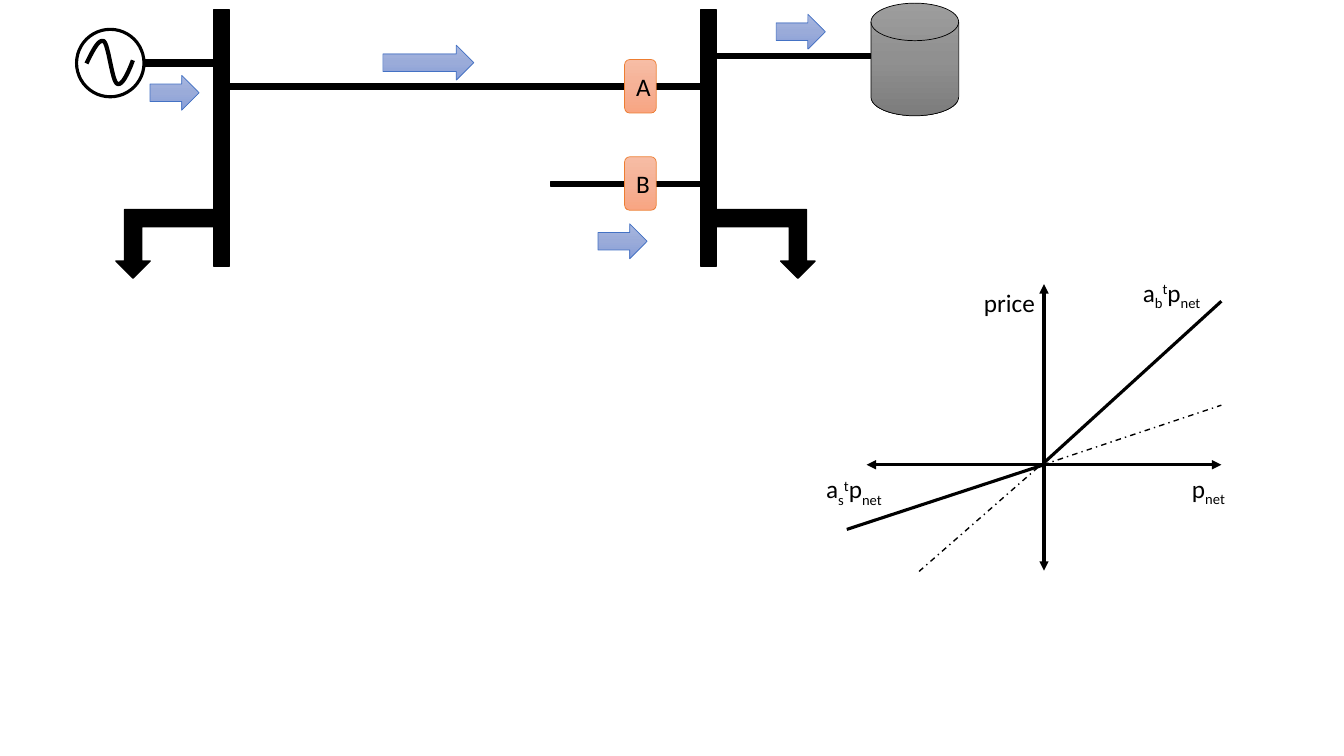
from copy import deepcopy

from lxml import etree
from pptx import Presentation
from pptx.dml.color import RGBColor
from pptx.enum import dml, shapes, text
from pptx.oxml import ns
from pptx.util import Cm, Pt

COLORS = {
    "ink": "000000",
    "paper": "FFFFFF",
    "flow": ["A8B7DF", "9AABD9", "889ED7"],
    "flow edge": "4472C4",
    "relay": ["F7BDA5", "F5B196", "F8A582"],
    "relay edge": "ED7D31",
    "tank": ["9D9D9D", "909090", "7C7C7C"],
}
KINDS = shapes.MSO_SHAPE

deck = Presentation()
deck.slide_width, deck.slide_height = Cm(33.87), Cm(19.05)
slide = deck.slides.add_slide(deck.slide_layouts[6])


def add_part(kind, box, fill="ink", edge="ink", weight=1):
    part = slide.shapes.add_shape(kind, *[Cm(length) for length in box])
    part.shadow.inherit = False
    part.line.color.rgb = RGBColor.from_string(COLORS[edge])
    part.line.width = Pt(weight)
    shades = COLORS[fill]
    if isinstance(shades, str):
        part.fill.solid()
        part.fill.fore_color.rgb = RGBColor.from_string(shades)
        return part
    part.fill.gradient()
    part.fill.gradient_angle = 270
    stop_list = part.element.xpath(".//a:gsLst")[0]
    stop_list.insert(1, deepcopy(stop_list[0]))
    for stop, shade, position in zip(part.fill.gradient_stops, shades, (0, 0.5, 1)):
        stop.color.rgb = RGBColor.from_string(shade)
        stop.position = position
    return part


def add_words(paragraph, pieces):
    for words, baseline in pieces:
        run = paragraph.add_run()
        run.text = words
        run.font.name = "Calibri"
        run.font.size = Pt(18)
        run.font.color.rgb = RGBColor.from_string(COLORS["ink"])
        if baseline:
            run.font._element.set("baseline", str(baseline * 1000))


for bus_left in (5.38, 17.65):
    add_part(KINDS.RECTANGLE, (bus_left, 0.25, 0.41, 6.45))

add_part(KINDS.OVAL, (1.93, 0.74, 1.7, 1.7), "paper", weight=2.25)

wires = [
    (3.66, 1.5, 1.93, 0.18),
    (5.46, 2.11, 12.19, 0.13),
    (18.08, 1.35, 3.86, 0.13),
    (13.89, 4.57, 3.76, 0.13),
]
for wire in wires:
    add_part(KINDS.RECTANGLE, wire)

wave_curves = [
    [(2.18, 1.6), (2.34, 1.27), (2.49, 0.97), (2.62, 1.04)],
    [(2.62, 1.04), (2.74, 1.14), (2.82, 2.03), (2.95, 2.11)],
    [(2.95, 2.11), (3.07, 2.18), (3.23, 1.85), (3.35, 1.52)],
]
STEPS = 12
wave_points = []
for curve in wave_curves:
    for step in range(1, STEPS + 1):
        t = step / STEPS
        weights = ((1 - t) ** 3, 3 * t * (1 - t) ** 2, 3 * t**2 * (1 - t), t**3)
        wave_points.append(
            [Cm(sum(w * point[axis] for w, point in zip(weights, curve))) for axis in (0, 1)]
        )
builder = slide.shapes.build_freeform(Cm(2.18), Cm(1.6))
builder.add_line_segments(wave_points, close=False)
wave = builder.convert_to_shape()
wave.shadow.inherit = False
wave.fill.background()
wave.line.color.rgb = RGBColor.from_string(COLORS["ink"])
wave.line.width = Pt(3)

for load_left, mirrored in ((2.92, False), (18.08, True)):
    load = add_part(KINDS.BENT_UP_ARROW, (load_left, 5.28, 2.46, 1.73))
    load.rotation = 180
    if mirrored:
        load.element.spPr.xfrm.set("flipH", "1")

add_part(KINDS.FLOWCHART_MAGNETIC_DISK, (21.95, 0.08, 2.21, 2.84), "tank", weight=0.5)

for flow_left, flow_top, flow_width in [
    (3.78, 1.9, 1.24), (19.56, 0.36, 1.24), (9.65, 1.14, 2.29), (15.07, 5.64, 1.24)
]:
    add_part(KINDS.RIGHT_ARROW, (flow_left, flow_top, flow_width, 0.88), "flow", "flow edge", 0.5)

for relay_name, relay_top in (("A", 1.5), ("B", 3.95)):
    relay = add_part(
        KINDS.ROUNDED_RECTANGLE, (15.74, relay_top, 0.8, 1.35), "relay", "relay edge", 0.5
    )
    relay.text_frame.vertical_anchor = text.MSO_ANCHOR.MIDDLE
    relay_text = relay.text_frame.paragraphs[0]
    relay_text.alignment = text.PP_ALIGN.CENTER
    add_words(relay_text, [(relay_name, 0)])

plot_lines = [
    ("axis", 21.84, 11.71, 30.78, 11.71),
    ("axis", 26.31, 14.38, 26.31, 7.16),
    ("price", 26.31, 11.66, 30.78, 7.59),
    ("extension", 23.16, 14.4, 26.29, 11.66),
    ("price", 21.34, 13.34, 26.31, 11.71),
    ("extension", 26.29, 11.71, 30.78, 10.21),
]
for role, *ends in plot_lines:
    plot_line = slide.shapes.add_connector(
        shapes.MSO_CONNECTOR.STRAIGHT, *[Cm(length) for length in ends]
    )
    plot_line.line.color.rgb = RGBColor.from_string(COLORS["ink"])
    plot_line.line.width = Pt(1 if role == "extension" else 2.25)
    if role == "extension":
        plot_line.line.dash_style = dml.MSO_LINE.DASH_DOT
    if role == "axis":
        for arrowhead in ("a:headEnd", "a:tailEnd"):
            etree.SubElement(plot_line.line._ln, ns.qn(arrowhead), type="triangle")
    etree.SubElement(plot_line.element.spPr, ns.qn("a:effectLst"))

labels = [
    (29.79, 11.79, 1.42, [("p", 0), ("net", -25)]),
    (24.54, 7.11, 1.8, [("price", 0)]),
    (28.55, 6.86, 2.11, [("a", 0), ("b", -25), ("t", 30), ("p", 0), ("net", -25)]),
    (20.57, 11.81, 2.11, [("a", 0), ("s", -25), ("t", 30), ("p", 0), ("net", -25)]),
]
for label_left, label_top, label_width, pieces in labels:
    label = slide.shapes.add_textbox(Cm(label_left), Cm(label_top), Cm(label_width), Cm(1.02))
    label.text_frame.word_wrap = False
    label.text_frame.auto_size = text.MSO_AUTO_SIZE.SHAPE_TO_FIT_TEXT
    label_text = label.text_frame.paragraphs[0]
    if len(pieces) == 1:
        label_text.alignment = text.PP_ALIGN.CENTER
    add_words(label_text, pieces)

deck.save("out.pptx")
